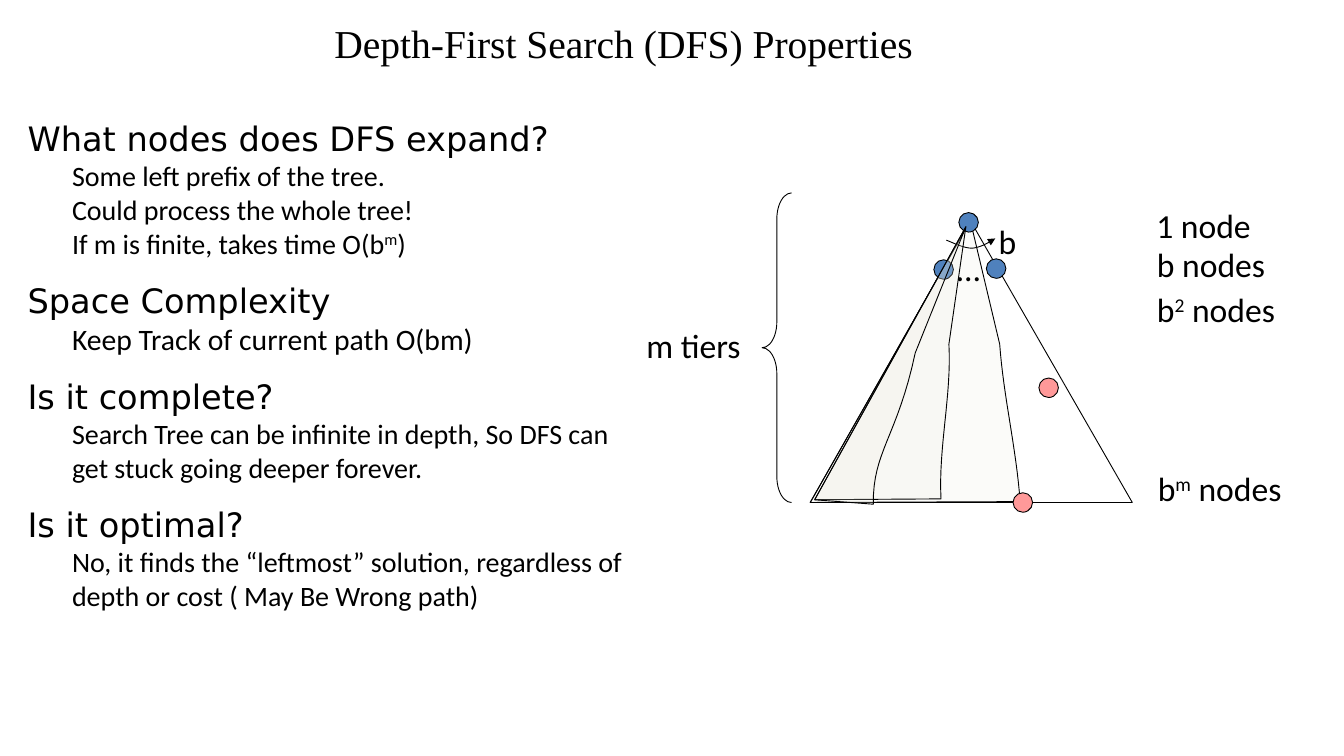
from lxml.etree import SubElement
from pptx import Presentation
from pptx.dml.color import RGBColor
from pptx.enum.shapes import MSO_SHAPE
from pptx.oxml.ns import qn
from pptx.util import Pt

BLACK, BLUE, PINK, CREAM = "000000", "4F81BD", "FF9999", "EEECE1"
NODE = 15.8
APEX, LEFT, RIGHT = (785.5, 178.6), (655.9, 406.8), (916.6, 406.8)
INNER_APEX, INNER_LEFT = (781.9, 183.6), (659.5, 404.6)

SECTIONS = [
    ("What nodes does DFS expand?", 22.7, [
        "Some left prefix of the tree.",
        "Could process the whole tree!",
        "If m is finite, takes time O(b^m^)"]),
    ("Space Complexity", 24, ["Keep Track of current path O(bm)"]),
    ("Is it complete?", 22.7, [
        "Search Tree can be infinite in depth, So DFS can get stuck going deeper forever."]),
    ("Is it optimal?", 22.7, [
        "No, it finds the “leftmost” solution, regardless of depth or cost ( May Be Wrong path)"]),
]

LABELS = [
    ("…", 767.5, 197.3, 24.5),
    ("b", 801.4, 175, 26.6),
    ("1 node", 929, 162, 100),
    ("b nodes", 929.5, 193.7, 130),
    ("b^2^ nodes", 929.5, 230.4, 130),
    ("b^m^ nodes", 930.2, 375.1, 130),
    ("m tiers", 516.2, 259.2, 113),
]


def color(value):
    return RGBColor.from_string(value)


def add_box(s, x, y, w, h, inset=(0, 0)):
    tf = s.shapes.add_textbox(Pt(x), Pt(y), Pt(w), Pt(h)).text_frame
    tf.word_wrap = True
    tf.margin_left = tf.margin_right = Pt(inset[0])
    tf.margin_top = tf.margin_bottom = Pt(inset[1])
    return tf


def write(p, text, size, font="Calibri", indent=0, before=0):
    if indent:
        pPr = p._p.get_or_add_pPr()
        pPr.set("marL", str(Pt(indent)))
        pPr.set("indent", "0")
    if before:
        p.space_before = Pt(before)
    for i, part in enumerate(text.split("^")):
        r = p.add_run()
        r.text = part
        r.font.size = Pt(size)
        r.font.name = font
        r.font.color.rgb = color(BLACK)
        if i % 2:
            r._r.get_or_add_rPr().set("baseline", "30000")


def style(sp, fill=None, alpha=None):
    sp.shadow.inherit = False
    sp.line.color.rgb = color(BLACK)
    sp.line.width = Pt(0.75)
    if fill is None:
        sp.fill.background()
        return
    sp.fill.solid()
    sp.fill.fore_color.rgb = color(fill)
    if alpha:
        clr = sp._element.spPr.find(qn("a:solidFill"))[0]
        SubElement(clr, qn("a:alpha"), val=str(alpha * 1000))


def add_node(s, x, y, fill):
    sp = s.shapes.add_shape(MSO_SHAPE.OVAL, Pt(x - NODE / 2), Pt(y - NODE / 2), Pt(NODE), Pt(NODE))
    style(sp, fill)


def curve(a, b, c, d, steps=16):
    points = []
    for i in range(steps + 1):
        t = i / steps
        u = 1 - t
        weights = u ** 3, 3 * u * u * t, 3 * u * t * t, t ** 3
        points.append(tuple(sum(k * q[axis] for k, q in zip(weights, (a, b, c, d)))
                            for axis in (0, 1)))
    return points


def add_outline(s, points, close=True, fill=None, alpha=None):
    points = [(Pt(x), Pt(y)) for x, y in points]
    fb = s.shapes.build_freeform(*points[0])
    fb.add_line_segments(points[1:], close=close)
    sp = fb.convert_to_shape()
    style(sp, fill, alpha)
    return sp


def add_region(s, left, apex, *edge):
    add_outline(s, [left, *curve(*edge), apex], fill=CREAM, alpha=20)


def add_arc_arrow(s):
    points = curve((766.1, 194.4), (773.3, 197.3), (780.5, 200.9), (787, 200.9))
    points += curve((787, 200.9), (794.2, 200.2), (799.9, 196.6), (805.7, 193))[1:]
    sp = add_outline(s, points, close=False)
    SubElement(sp.line._get_or_add_ln(), qn("a:tailEnd"), type="triangle")


def add_brace(s):
    sp = s.shapes.add_shape(MSO_SHAPE.LEFT_BRACE, Pt(617), Pt(156.2), Pt(23.8), Pt(250.6))
    sp.adjustments[0] = 0.884
    style(sp)


def add_sections(s):
    tf = add_box(s, 22.3, 95.8, 500.4, 430)
    for i, (heading, size, lines) in enumerate(SECTIONS):
        p = tf.add_paragraph() if i else tf.paragraphs[0]
        write(p, heading, 27.2, "DejaVu Sans", before=16.5 if i else 0)
        for line in lines:
            write(tf.add_paragraph(), line, size, indent=36)


def main():
    prs = Presentation()
    prs.slide_width, prs.slide_height = Pt(1088), Pt(612)
    s = prs.slides.add_slide(prs.slide_layouts[6])

    add_region(s, LEFT, APEX, (825.8, 406.1), (823, 364.3), (812.2, 320.4), (809.3, 278.6))
    write(add_box(s, 270.7, 15.1, 635.8, 38.9).paragraphs[0],
          "Depth-First Search (DFS) Properties", 32, "Times New Roman")
    add_outline(s, [LEFT, RIGHT, APEX])
    for x, y in [(784.1, 180), (763.9, 218.2), (806.4, 217.4)]:
        add_node(s, x, y, BLUE)
    add_arc_arrow(s)
    for text, x, y, w in LABELS:
        write(add_box(s, x, y, w, 40.3, (7.2, 3.6)).paragraphs[0], text, 27.2)
    add_brace(s)
    add_sections(s)
    add_region(s, INNER_LEFT, INNER_APEX,
               (761.8, 403.9), (759.6, 362.2), (770.4, 320.4), (768.2, 278.6))
    add_region(s, INNER_LEFT, INNER_APEX,
               (707, 408.2), (706.3, 365.8), (726.5, 353.5), (740.9, 285.8))
    for x, y in [(828, 406.8), (848.9, 313.9)]:
        add_node(s, x, y, PINK)

    prs.save("out.pptx")


if __name__ == "__main__":
    main()
